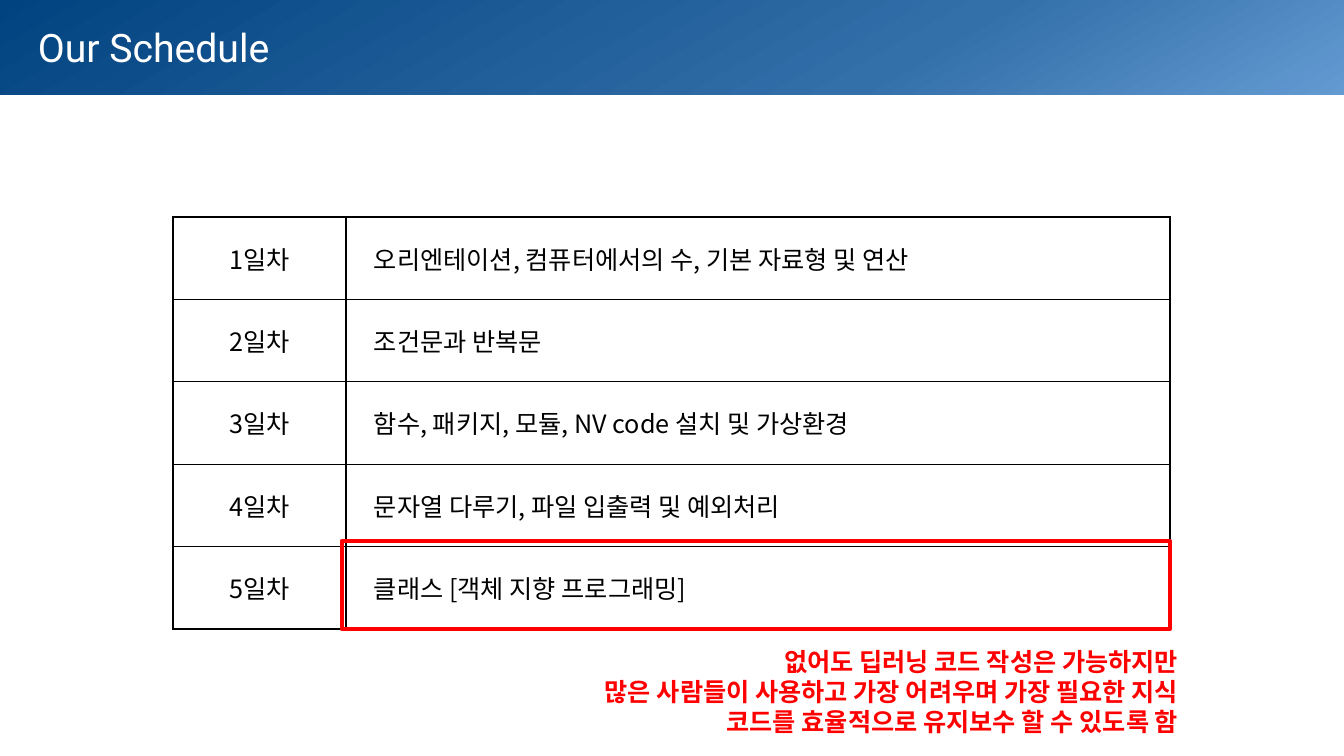
from lxml import etree
from pptx import Presentation
from pptx.dml.color import RGBColor
from pptx.enum.shapes import MSO_SHAPE
from pptx.enum.text import MSO_ANCHOR, MSO_AUTO_SIZE, PP_ALIGN
from pptx.oxml.ns import qn
from pptx.util import Emu, Pt

RECTANGLE = MSO_SHAPE.RECTANGLE
MIDDLE = MSO_ANCHOR.MIDDLE
FIT_SHAPE = MSO_AUTO_SIZE.SHAPE_TO_FIT_TEXT
LEFT, CENTER, RIGHT = PP_ALIGN.LEFT, PP_ALIGN.CENTER, PP_ALIGN.RIGHT

PX = 914400 / 100.8
COLORS = {
    "bar_light": "649AD2", "bar_mid": "336FA9", "bar_dark": "014380",
    "title": "FFFFFF", "text": "000000", "accent": "FF0000",
}
KOREAN, LATIN = "Noto Sans CJK KR", "Roboto"


def px(*lengths):
    """Turn pixel lengths into a list of EMU lengths."""
    return [Emu(round(length * PX)) for length in lengths]


def add_text(paragraph, text, size, font, color, align=LEFT, bold=False):
    paragraph.alignment = align
    run = paragraph.add_run()
    run.text = text
    run.font.size = Pt(size)
    run.font.bold = bold
    run.font.color.rgb = RGBColor.from_string(COLORS[color])
    run.font.name = font
    etree.SubElement(run.font._element, qn("a:ea"), typeface=font)


prs = Presentation()
prs.slide_width, prs.slide_height = px(1344, 756)
slide = prs.slides.add_slide(prs.slide_layouts[6])
shapes = slide.shapes

# Title bar
title_bar = shapes.add_shape(RECTANGLE, *px(0, 0, 1344, 95))
title_bar.shadow.inherit = False
title_bar.line.fill.background()
title_bar.fill.gradient()
title_bar.fill.gradient_angle = 120
stops = title_bar._element.spPr.find(".//" + qn("a:gsLst"))
for stop in list(stops):
    stops.remove(stop)
for percent, color in ((0, "bar_light"), (33, "bar_mid"), (100, "bar_dark")):
    stop = etree.SubElement(stops, qn("a:gs"), pos=str(percent * 1000))
    etree.SubElement(stop, qn("a:srgbClr"), val=COLORS[color])

title = shapes.add_textbox(*px(28, 18, 305, 57)).text_frame
title.word_wrap = False
title.auto_size = FIT_SHAPE
add_text(title.paragraphs[0], "Our Schedule", 28, LATIN, "title")

# Schedule
topics = [
    "오리엔테이션, 컴퓨터에서의 수, 기본 자료형 및 연산",
    "조건문과 반복문",
    "함수, 패키지, 모듈, NV code 설치 및 가상환경",
    "문자열 다루기, 파일 입출력 및 예외처리",
    "클래스 [객체 지향 프로그래밍]",
]
DAY_WIDTH, TOPIC_WIDTH, TABLE_HEIGHT = 173, 824, 412
schedule = shapes.add_table(
    len(topics), 2, *px(173, 217, DAY_WIDTH + TOPIC_WIDTH, TABLE_HEIGHT)).table
schedule.first_row = schedule.horz_banding = False
for column, width in zip(schedule.columns, px(DAY_WIDTH, TOPIC_WIDTH)):
    column.width = width

for day, topic in enumerate(topics, start=1):
    day_cell, topic_cell = schedule.rows[day - 1].cells
    topic_cell.margin_left = px(28)[0]
    for cell, text, align in ((day_cell, f"{day}일차", CENTER),
                              (topic_cell, topic, LEFT)):
        cell.vertical_anchor = MIDDLE
        add_text(cell.text_frame.paragraphs[0], text, 18, KOREAN, "text", align)
        properties = cell._tc.get_or_add_tcPr()
        for side in ("lnL", "lnR", "lnT", "lnB"):
            border = etree.SubElement(properties, qn("a:" + side), w=str(Pt(1)))
            border_fill = etree.SubElement(border, qn("a:solidFill"))
            etree.SubElement(border_fill, qn("a:srgbClr"), val=COLORS["text"])
        cell.fill.background()

# Emphasis on the last day
highlight = shapes.add_shape(RECTANGLE, *px(342, 541, 828, 88))
highlight.shadow.inherit = False
highlight.fill.background()
highlight.line.color.rgb = RGBColor.from_string(COLORS["accent"])
highlight.line.width = Pt(3)

remark = shapes.add_textbox(*px(520, 641, 668, 102)).text_frame
remark.word_wrap = False
remark.auto_size = FIT_SHAPE
remark_lines = [
    "없어도 딥러닝 코드 작성은 가능하지만",
    "많은 사람들이 사용하고 가장 어려우며 가장 필요한 지식",
    "코드를 효율적으로 유지보수 할 수 있도록 함",
]
for index, line in enumerate(remark_lines):
    paragraph = remark.add_paragraph() if index else remark.paragraphs[0]
    add_text(paragraph, line, 18, KOREAN, "accent", RIGHT, bold=True)

prs.save("out.pptx")
